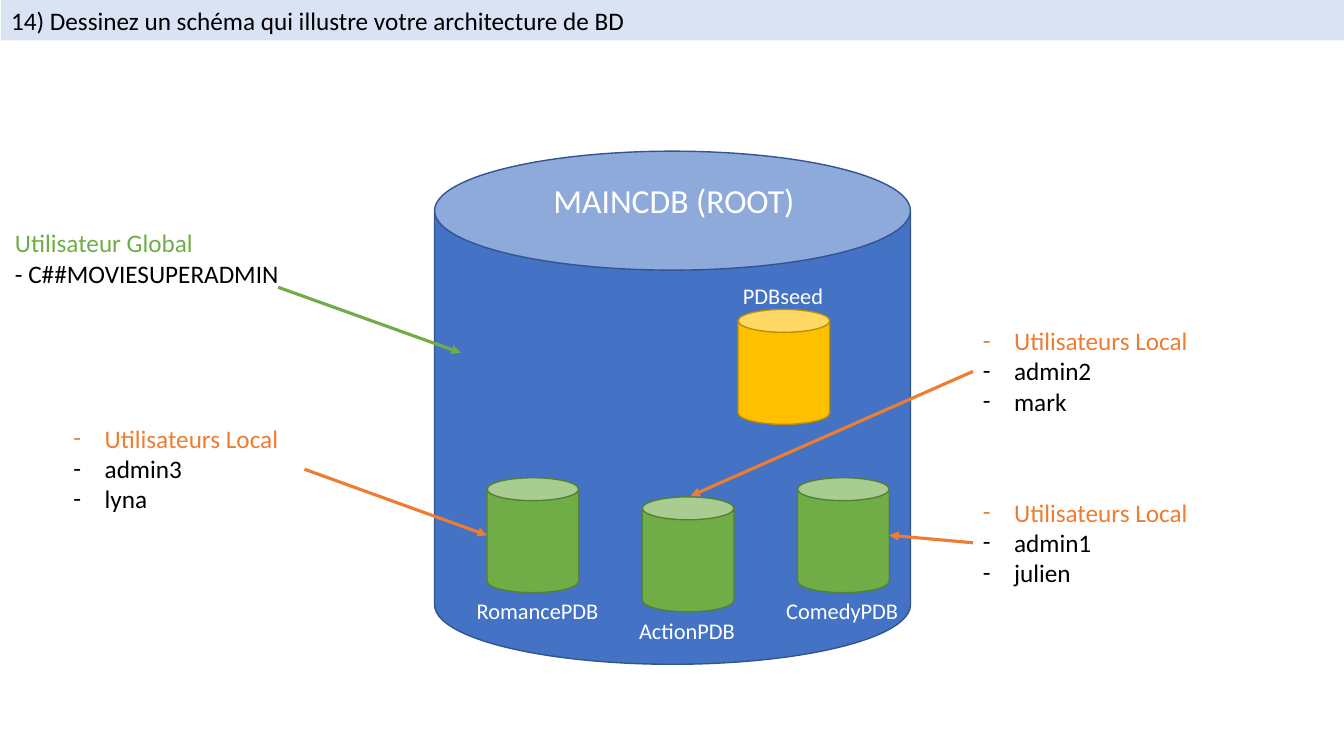
from lxml.etree import SubElement
from pptx import Presentation
from pptx.dml.color import RGBColor
from pptx.enum.shapes import MSO_CONNECTOR, MSO_SHAPE
from pptx.enum.text import MSO_ANCHOR, MSO_AUTO_SIZE, PP_ALIGN
from pptx.oxml.ns import qn
from pptx.util import Inches, Pt

BLACK, WHITE = "000000", "FFFFFF"
BLUE, GREEN, ORANGE, GOLD = "4472C4", "70AD47", "ED7D31", "FFC000"
CAN_WIDTH, CAN_HEIGHT = 0.91, 1.14


def color(value):
    """Turn a hex string into a colour."""
    return RGBColor.from_string(value)


def write(frame, lines, size=18, wrap=True, bullets=False):
    """Fill a text frame with (text, colour) lines."""
    frame.word_wrap = wrap
    frame.auto_size = MSO_AUTO_SIZE.NONE
    frame.vertical_anchor = MSO_ANCHOR.TOP
    for index, (text, hue) in enumerate(lines):
        para = frame.add_paragraph() if index else frame.paragraphs[0]
        para.alignment = PP_ALIGN.LEFT
        span = para.add_run()
        span.text = text
        span.font.name = "Calibri"
        span.font.size = Pt(size)
        span.font.color.rgb = color(hue)
        if bullets:
            add_dash(para)


def add_dash(para):
    """Give a paragraph a hanging dash bullet."""
    properties = para._p.get_or_add_pPr()
    properties.set("marL", str(Inches(0.31)))
    properties.set("indent", str(-Inches(0.31)))
    SubElement(properties, qn("a:buFont")).set("typeface", "Calibri")
    SubElement(properties, qn("a:buChar")).set("char", "-")


def add_title(page, text):
    """Lay the title out as a pale band across the top."""
    title = page.shapes.title
    title.left, title.top = Inches(0.01), Inches(0)
    title.width, title.height = Inches(13.32), Inches(0.4)
    title.fill.solid()
    title.fill.fore_color.rgb = color("DAE3F3")
    write(title.text_frame, [(text, BLACK)])


def add_text(page, left, top, width, height, lines, **style):
    """Add a text box and return it."""
    box = page.shapes.add_textbox(
        Inches(left), Inches(top), Inches(width), Inches(height))
    write(box.text_frame, lines, **style)
    return box


def add_can(page, left, top, width, height, fill, outline):
    """Add a database cylinder."""
    can = page.shapes.add_shape(
        MSO_SHAPE.CAN, Inches(left), Inches(top), Inches(width), Inches(height))
    can.shadow.inherit = False
    can.fill.solid()
    can.fill.fore_color.rgb = color(fill)
    can.line.color.rgb = color(outline)
    can.line.width = Pt(1)


def add_arrow(page, start, end, hue, box=None, site=None):
    """Draw an arrow, joined at its start to a box when one is given."""
    arrow = page.shapes.add_connector(
        MSO_CONNECTOR.STRAIGHT, *(Inches(value) for value in start + end))
    if box is not None:
        arrow.begin_connect(box, site)
    arrow.line.color.rgb = color(hue)
    arrow.line.width = Pt(2.25)
    SubElement(arrow.line._get_or_add_ln(), qn("a:tailEnd")).set("type", "triangle")
    SubElement(arrow._element.spPr, qn("a:effectLst"))


def main():
    """Build the database architecture slide."""
    deck = Presentation()
    deck.slide_width, deck.slide_height = Inches(13.33), Inches(7.5)
    page = deck.slides.add_slide(deck.slide_layouts[5])
    add_title(page, "14) Dessinez un schéma qui illustre votre architecture de BD")

    add_can(page, 4.31, 1.5, 4.72, 5.09, BLUE, "325491")
    add_text(page, 5.39, 1.74, 2.55, 0.5, [("MAINCDB (ROOT)", WHITE)],
             size=24, wrap=False)

    databases = [
        ("RomancePDB", 4.83, 4.74, GREEN, "538035", 4.63, 5.87, 1.43),
        ("ActionPDB", 6.37, 4.93, GREEN, "538035", 6.24, 6.07, 1.17),
        ("ComedyPDB", 7.91, 4.74, GREEN, "538035", 7.7, 5.87, 1.33),
        ("PDBseed", 7.32, 3.07, GOLD, "BD8E00", 7.27, 2.75, 1.01),
    ]
    for name, left, top, fill, outline, label_left, label_top, label_width in databases:
        add_can(page, left, top, CAN_WIDTH, CAN_HEIGHT, fill, outline)
        add_text(page, label_left, label_top, label_width, 0.37, [(name, WHITE)],
                 size=16, wrap=False)

    local_users = [
        (("admin1", "julien"), 9.65, 4.88, 3.6, 1, (8.82, 5.31)),
        (("admin2", "mark"), 9.65, 3.18, 3.6, 1, (6.85, 4.92)),
        (("admin3", "lyna"), 0.63, 4.15, 2.39, 3, (4.83, 5.31)),
    ]
    for users, left, top, width, site, target in local_users:
        lines = [("Utilisateurs Local", ORANGE)] + [(user, BLACK) for user in users]
        box = add_text(page, left, top, width, 1.01, lines, bullets=True)
        add_arrow(page, (left, top), target, ORANGE, box=box, site=site)

    add_text(page, 0.05, 2.21, 2.84, 0.71,
             [("Utilisateur Global", GREEN), ("- C##MOVIESUPERADMIN", BLACK)])
    add_arrow(page, (2.76, 2.85), (4.57, 3.5), GREEN)
    deck.save("out.pptx")


if __name__ == "__main__":
    main()
